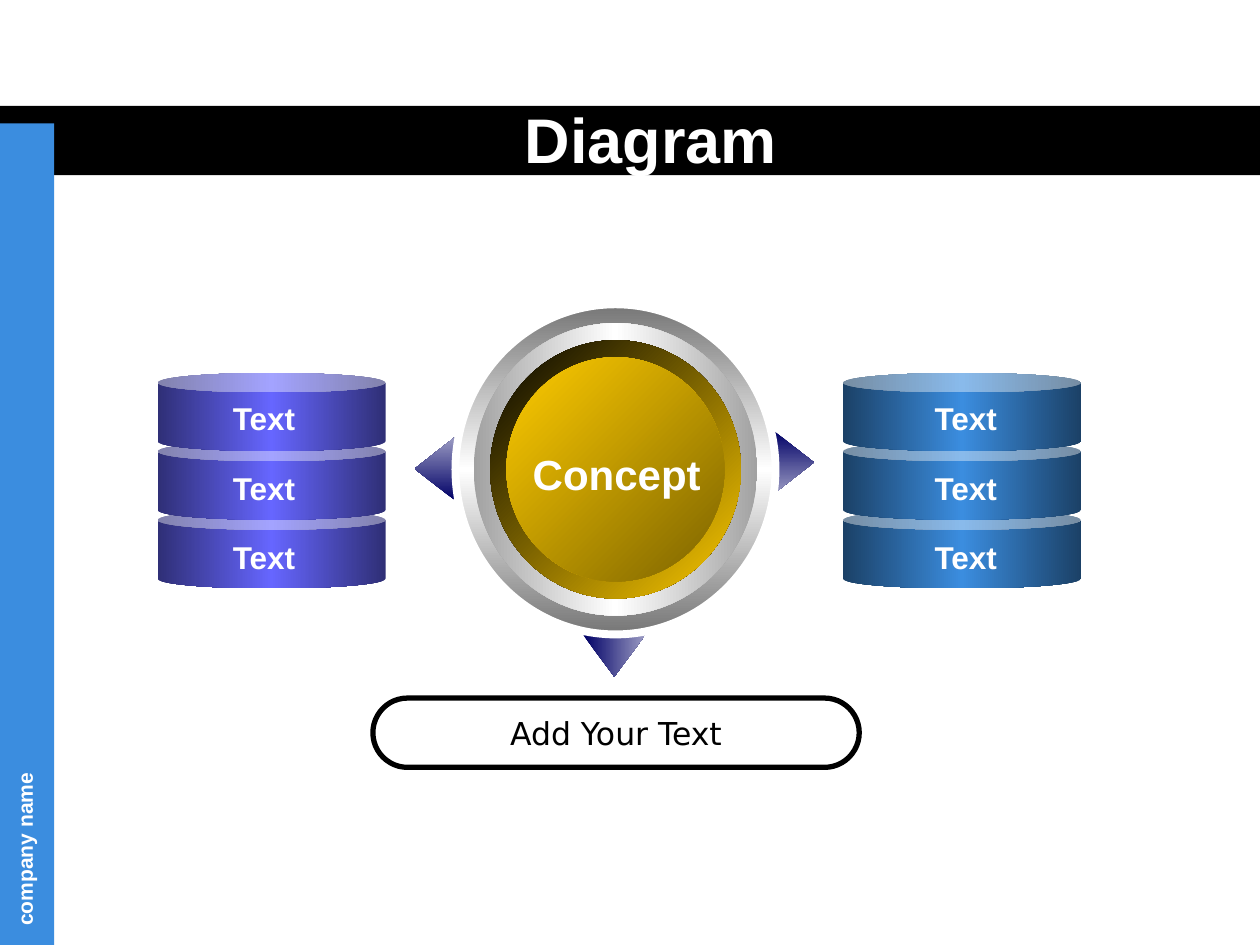
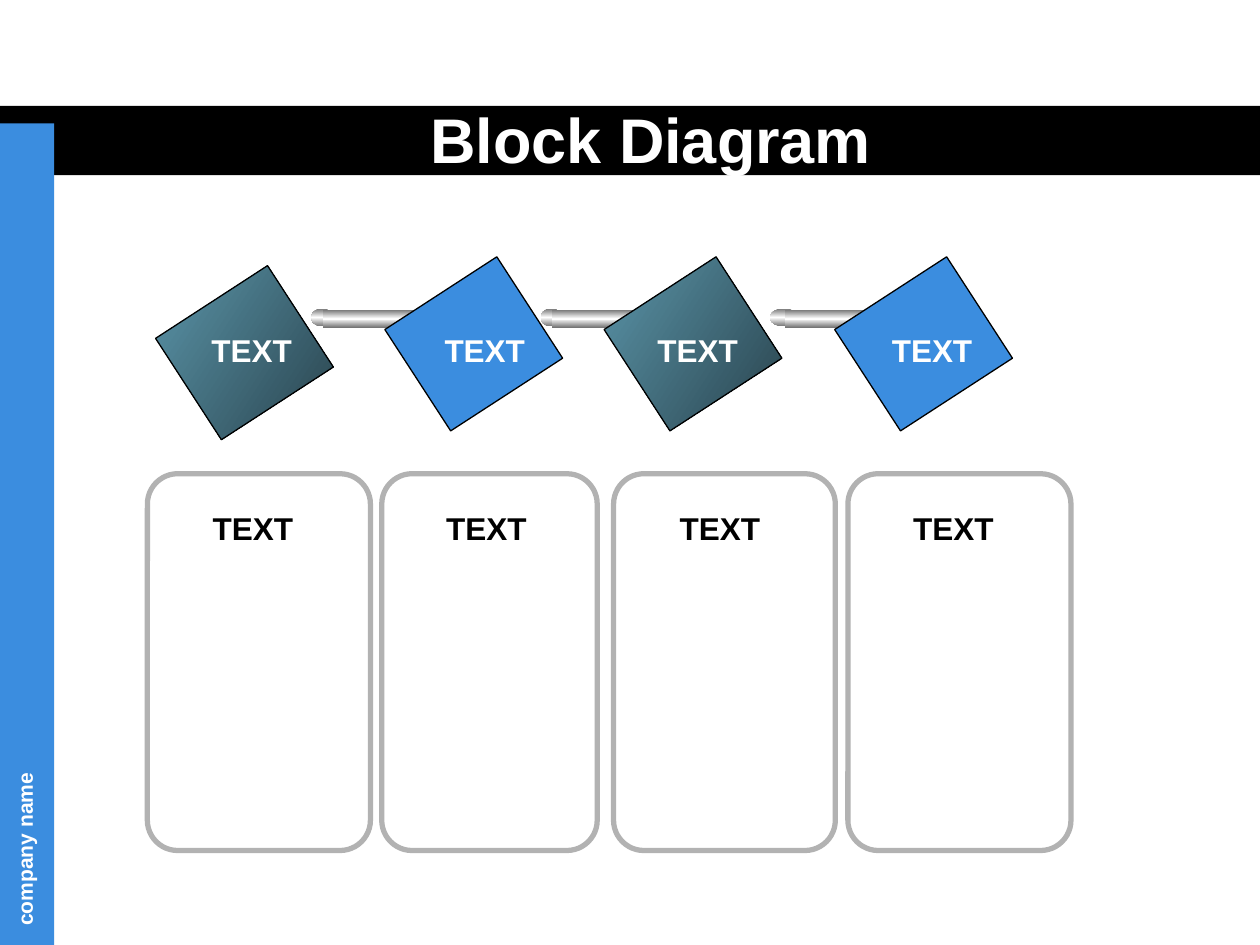
from dataclasses import dataclass

import pptx
import pptx.dml.color
import pptx.enum.shapes
import pptx.enum.text
import pptx.oxml
import pptx.oxml.ns
import pptx.util
from pptx.shapes.autoshape import Shape
from pptx.slide import Slide

SHAPES = pptx.enum.shapes.MSO_SHAPE
ALIGN = pptx.enum.text.PP_ALIGN
ANCHOR = pptx.enum.text.MSO_ANCHOR

# Grid: 100 columns by 75 rows
SLIDE_WIDTH = pptx.util.Inches(10)
SLIDE_HEIGHT = pptx.util.Inches(7.5)
COLUMN = SLIDE_WIDTH / 100
ROW = SLIDE_HEIGHT / 75

# Shared colours and fonts
BLACK, WHITE, BLUE = "000000", "FFFFFF", "3B8DDF"
CARD_GRAY = "B2B2B2"
HEADING_FONT, BODY_FONT = "Arial", "DejaVu Sans"


@dataclass(frozen=True)
class Box:
    """A place on the grid, in columns and rows."""
    left: float
    top: float
    width: float
    height: float

    def emu(self) -> tuple[int, int, int, int]:
        return (round(self.left * COLUMN), round(self.top * ROW),
                round(self.width * COLUMN), round(self.height * ROW))


@dataclass(frozen=True)
class Gradient:
    """Evenly spaced colours along an angle in degrees, clockwise."""
    colors: tuple[str, ...]
    angle: int


@dataclass(frozen=True)
class Outline:
    color: str
    points: float


@dataclass(frozen=True)
class TextStyle:
    size: float
    color: str = WHITE
    bold: bool = True
    font: str = HEADING_FONT
    align: ALIGN = ALIGN.CENTER


@dataclass(frozen=True)
class Stack:
    left: float
    width: float
    label_left: float
    gradient: Gradient


@dataclass(frozen=True)
class Pointer:
    box: Box
    rotation: int
    gradient_angle: int


@dataclass(frozen=True)
class Disc:
    width: float
    height: float
    gradient: Gradient
    outline: Outline | None = None


@dataclass(frozen=True)
class Block:
    left: float
    top: float
    label_left: float
    fill: str | Gradient


@dataclass(frozen=True)
class Rod:
    left: float
    stretch: float


@dataclass(frozen=True)
class Card:
    left: float
    width: float


STEEL = Gradient(("767676", WHITE, "767676"), 90)
TEAL = Gradient(("5A94A8", "2A444E"), 33)
LABEL = TextStyle(18)


def rgb(color: str) -> pptx.dml.color.RGBColor:
    return pptx.dml.color.RGBColor.from_string(color)


def paint(shape: Shape, fill: str | Gradient | None) -> None:
    if fill is None:
        shape.fill.background()
    elif isinstance(fill, str):
        shape.fill.solid()
        shape.fill.fore_color.rgb = rgb(fill)
    else:
        last = len(fill.colors) - 1
        stops = "".join(
            f'<a:gs pos="{100000 * index // last}"><a:srgbClr val="{color}"/></a:gs>'
            for index, color in enumerate(fill.colors))
        gradient = pptx.oxml.parse_xml(
            f'<a:gradFill {pptx.oxml.ns.nsdecls("a")} rotWithShape="0">'
            f'<a:gsLst>{stops}</a:gsLst>'
            f'<a:lin ang="{fill.angle * 60000}" scaled="0"/></a:gradFill>')
        geometry = shape.element.spPr.find(pptx.oxml.ns.qn("a:prstGeom"))
        geometry.addnext(gradient)


def add_shape(slide: Slide, kind: SHAPES, box: Box, fill: str | Gradient | None,
              outline: Outline | None = None, rotation: float = 0,
              adjustments: tuple[float, ...] = ()) -> Shape:
    shape = slide.shapes.add_shape(kind, *box.emu())
    shape.shadow.inherit = False
    shape.rotation = rotation
    for index, value in enumerate(adjustments):
        shape.adjustments[index] = value
    paint(shape, fill)
    if outline:
        shape.line.color.rgb = rgb(outline.color)
        shape.line.width = pptx.util.Pt(outline.points)
    else:
        shape.line.fill.background()
    return shape


def write(shape: Shape, text: str, style: TextStyle) -> None:
    paragraph = shape.text_frame.paragraphs[0]
    paragraph.text = text
    paragraph.alignment = style.align
    paragraph.font.size = pptx.util.Pt(style.size)
    paragraph.font.bold = style.bold
    paragraph.font.name = style.font
    paragraph.font.color.rgb = rgb(style.color)


def add_label(slide: Slide, box: Box, text: str, style: TextStyle,
              wrap: bool = False) -> Shape:
    label = slide.shapes.add_textbox(*box.emu())
    label.text_frame.word_wrap = wrap
    label.text_frame.auto_size = pptx.enum.text.MSO_AUTO_SIZE.SHAPE_TO_FIT_TEXT
    write(label, text, style)
    return label


def add_titled_slide(presentation: pptx.presentation.Presentation, text: str) -> Slide:
    """Title-only slide with the black band, blue side bar and company name."""
    slide = presentation.slides.add_slide(presentation.slide_layouts[5])
    add_shape(slide, SHAPES.RECTANGLE, Box(0, 8.4, 100, 5.5), BLACK)
    add_shape(slide, SHAPES.RECTANGLE, Box(0, 9.8, 4.3, 65.2), BLUE)
    company = add_label(slide, Box(-15.2, 55.8, 34.3, 3), "company name",
                        TextStyle(12, align=ALIGN.LEFT), wrap=True)
    company.rotation = 270

    title = slide.shapes.title
    title.left, title.top, title.width, title.height = Box(3.3, 8.3, 96.7, 5.3).emu()
    title.text_frame.vertical_anchor = ANCHOR.MIDDLE
    title.text_frame.auto_size = pptx.enum.text.MSO_AUTO_SIZE.NONE
    write(title, text, TextStyle(36))
    title.element.getparent().append(title.element)  # in front of the band
    return slide


def add_stack(slide: Slide, stack: Stack, levels: int = 3) -> None:
    for level in reversed(range(levels)):
        add_shape(slide, SHAPES.CAN,
                  Box(stack.left, 29.6 + 5.45 * level, stack.width, 6.2),
                  stack.gradient, adjustments=(0.25,))
    for level in range(levels):
        add_label(slide, Box(stack.label_left, 31.2 + 5.5 * level, 7.1, 4), "Text", LABEL)


def build_concept_slide(presentation: pptx.presentation.Presentation) -> None:
    slide = add_titled_slide(presentation, "Diagram")

    # Pointers around the concept
    pointers = (
        Pointer(Box(32, 35.6, 5, 3.2), 270, 270),
        Pointer(Box(60.5, 35.1, 5, 3.2), 90, 90),
        Pointer(Box(46.3, 50.4, 4.9, 3.3), 180, 0),
    )
    for pointer in pointers:
        add_shape(slide, SHAPES.UP_ARROW, pointer.box,
                  Gradient(("000066", "9B9BC3"), pointer.gradient_angle),
                  rotation=pointer.rotation, adjustments=(0.517, 1))

    # Concentric discs
    center_column, center_row = 48.85, 37.25
    discs = (
        Disc(25.4, 26.2, STEEL, Outline(WHITE, 4.5)),
        Disc(22.5, 23.2, Gradient(("A2A2A2", WHITE, "A2A2A2"), 0)),
        Disc(19.9, 20.5, Gradient((BLACK, "FFCC00"), 45)),
        Disc(17.3, 17.8, Gradient(("FFCC00", "7C6300"), 45)),
    )
    for disc in discs:
        add_shape(slide, SHAPES.OVAL,
                  Box(center_column - disc.width / 2, center_row - disc.height / 2,
                      disc.width, disc.height), disc.gradient, disc.outline)
    add_label(slide, Box(41.3, 35.1, 15.3, 5), "Concept", TextStyle(24))

    # Cylinder stacks on both sides
    stacks = (
        Stack(12.5, 18.1, 17.4, Gradient(("2F2F76", "6666FF", "2F2F76"), 0)),
        Stack(66.9, 18.9, 73.1, Gradient(("1B4167", BLUE, "1B4167"), 0)),
    )
    for stack in stacks:
        add_stack(slide, stack)

    # Caption
    caption = add_shape(slide, SHAPES.ROUNDED_RECTANGLE, Box(29.6, 55.4, 38.6, 5.5),
                        WHITE, Outline(BLACK, 3), adjustments=(0.5,))
    caption.text_frame.word_wrap = False
    caption.text_frame.vertical_anchor = ANCHOR.MIDDLE
    write(caption, "Add Your Text", TextStyle(18, BLACK, False, BODY_FONT))


def add_rod(slide: Slide, rod: Rod) -> None:
    def add_part(kind: SHAPES, offset: float, top: float, width: float,
                 height: float, outline: Outline | None = None) -> None:
        box = Box(rod.left + offset * rod.stretch, top, width * rod.stretch, height)
        add_shape(slide, kind, box, STEEL, outline)

    add_part(SHAPES.OVAL, 0, 24.5, 1.7, 1.4)
    add_part(SHAPES.RECTANGLE, 0.9, 24.6, 8.2, 1.4)
    add_part(SHAPES.OVAL, 8.4, 24.6, 1.5, 1.3, Outline(WHITE, 1))
    add_part(SHAPES.OVAL, 9.2, 25, 0.4, 0.4)


def build_block_slide(presentation: pptx.presentation.Presentation) -> None:
    slide = add_titled_slide(presentation, "Block Diagram")
    label_style = TextStyle(18, align=ALIGN.LEFT)
    card_style = TextStyle(18, BLACK, align=ALIGN.LEFT)

    # Cards
    cards = (Card(11.7, 17.7), Card(30.3, 17.1), Card(48.7, 17.6), Card(67.3, 17.7))
    for index, card in enumerate(cards):
        add_shape(slide, SHAPES.ROUNDED_RECTANGLE, Box(card.left, 37.6, card.width, 29.9),
                  None, Outline(CARD_GRAY, 3), adjustments=(2.4 / card.width,))
        add_label(slide, Box(15.9 + 18.53 * index, 39.9, 8.4, 4), "TEXT", card_style)

    # Tilted blocks, each covering the end of the rod before it
    blocks = (
        Block(14.6, 22.7, 15.8, TEAL),
        Block(32.8, 22, 34.3, BLUE),
        Block(50.2, 22, 51.2, TEAL),
        Block(68.5, 22, 69.8, BLUE),
    )
    rods = (None, Rod(24.7, 1), Rod(42.9, 1), Rod(61.1, 1.3))
    for block, rod in zip(blocks, rods):
        if rod:
            add_rod(slide, rod)
        add_shape(slide, SHAPES.RECTANGLE, Box(block.left, block.top, 9.6, 10.6),
                  block.fill, Outline(BLACK, 0.75), rotation=57)
        add_label(slide, Box(block.label_left, 25.8, 8.4, 4), "TEXT", label_style)


def main() -> None:
    presentation = pptx.Presentation()
    presentation.slide_width = SLIDE_WIDTH
    presentation.slide_height = SLIDE_HEIGHT
    build_concept_slide(presentation)
    build_block_slide(presentation)
    presentation.save("out.pptx")


if __name__ == "__main__":
    main()
